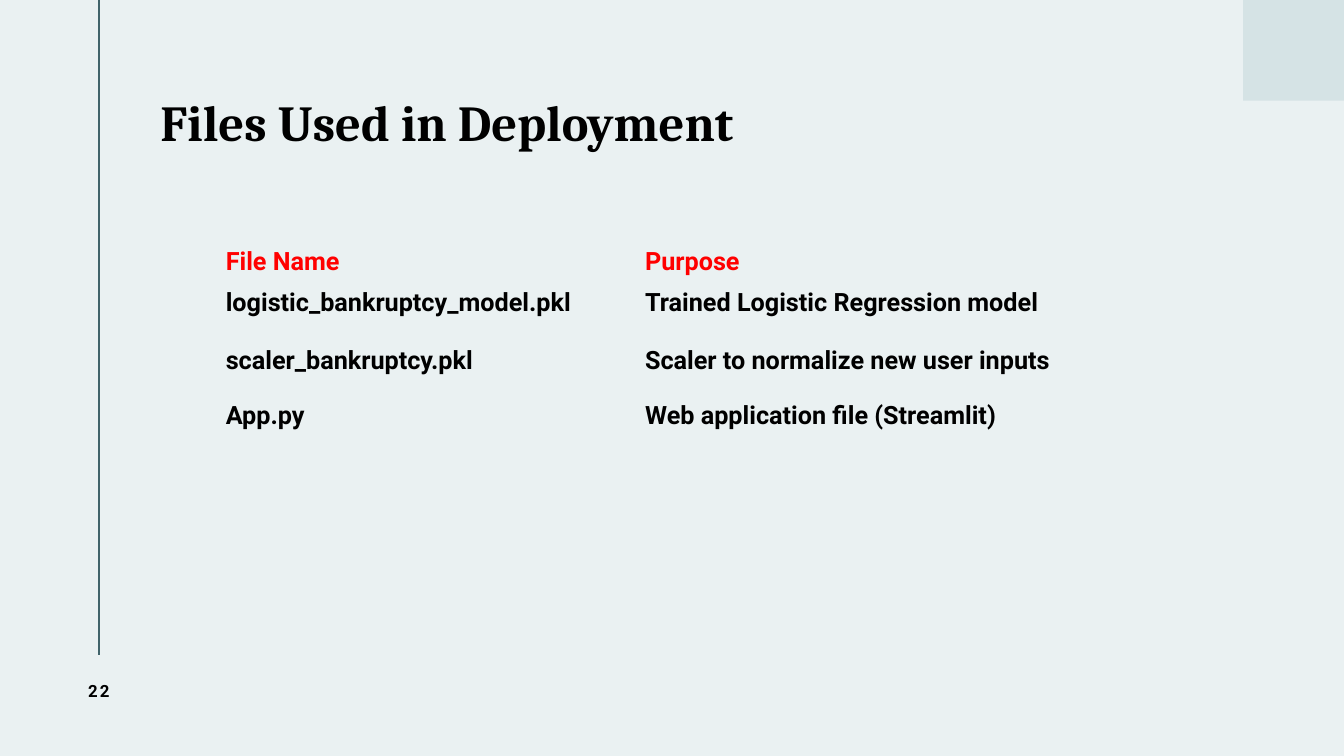
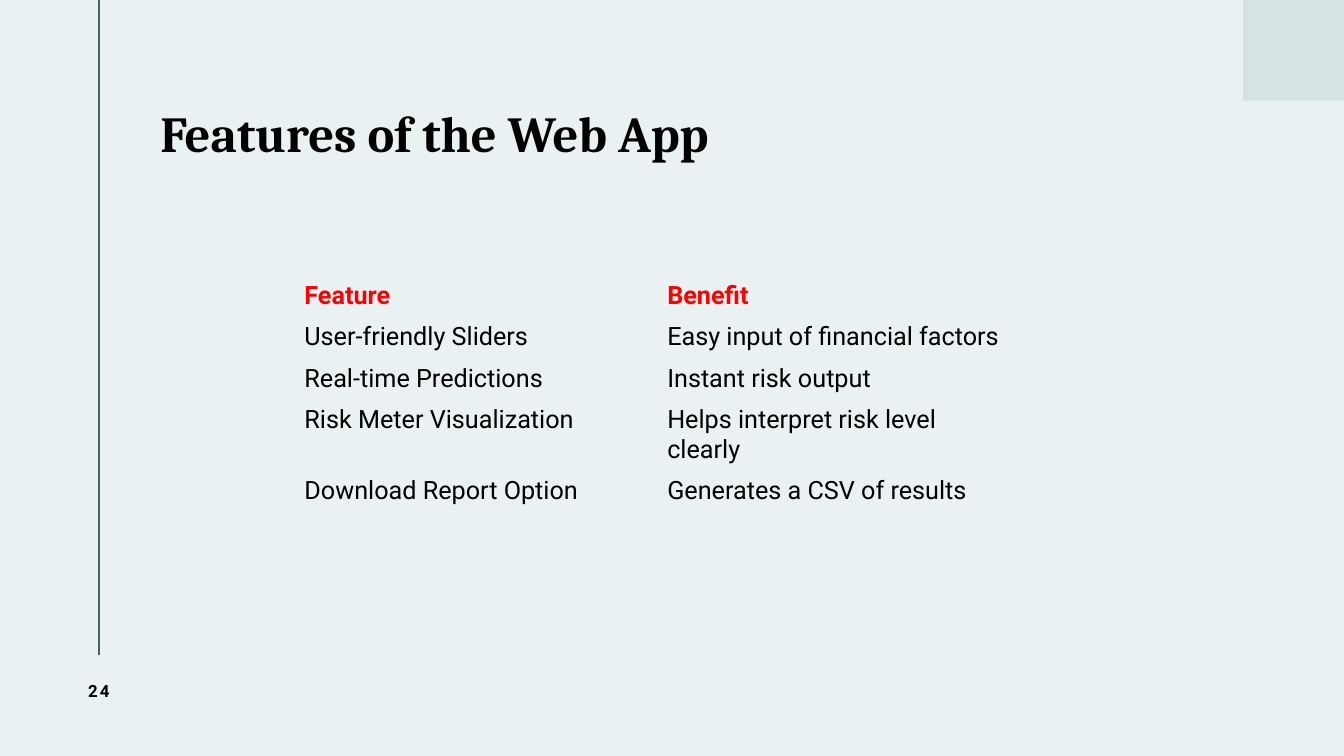
from lxml import etree
from pptx import Presentation
from pptx.dml.color import RGBColor
from pptx.enum.shapes import MSO_CONNECTOR, MSO_SHAPE
from pptx.enum.text import MSO_ANCHOR, PP_ALIGN
from pptx.oxml.ns import qn
from pptx.util import Inches, Pt

STRAIGHT = MSO_CONNECTOR.STRAIGHT
RECTANGLE = MSO_SHAPE.RECTANGLE
MIDDLE = MSO_ANCHOR.MIDDLE
CENTER = PP_ALIGN.CENTER

# Slide size and shared look
WIDTH, HEIGHT = Inches(13.33), Inches(7.5)
BACKGROUND, RULE, CORNER = "EAF1F2", "40636A", "D5E3E5"
BLACK, RED = "000000", "FF0000"
PLAIN_TABLE_STYLE = "{2D5ABB26-0587-4C30-8999-92F81FD0307C}"

TITLE = {"name": "Cambria", "size": Pt(36), "bold": True, "color": BLACK}
HEADING = {"name": "Roboto", "size": Pt(18), "bold": True, "color": RED}
STRONG = {**HEADING, "color": BLACK}
BODY = {**STRONG, "bold": False}
NUMBER = {**STRONG, "size": Pt(12)}

# Shared positions, in percent of the slide's width and height
RULE_X, RULE_END = 7.35, 86.67
TITLE_LEFT, TITLE_TOP, TITLE_WIDTH = 11.93, 10.8, 76.97
ROW = 5.47

SLIDES = [
    {
        "title": "Files Used in Deployment",
        "title_height": 11.6,
        "number": "22",
        "table_at": (16.05, 32),
        "columns": (31.2, 33.68),
        "rows": (ROW, 7.6, 7.33, ROW),
        "style": STRONG,
        "cells": [
            ("File Name", "Purpose"),
            ("logistic_bankruptcy_model.pkl", "Trained Logistic Regression model"),
            ("scaler_bankruptcy.pkl", "Scaler to normalize new user inputs"),
            ("App.py", "Web application file (Streamlit)"),
        ],
    },
    {
        "title": "Features of the Web App",
        "title_height": 14.53,
        "number": "24",
        "table_at": (21.9, 36.53),
        "columns": (27, 27),
        "rows": (ROW,) * 5,
        "style": BODY,
        "cells": [
            ("Feature", "Benefit"),
            ("User-friendly Sliders", "Easy input of financial factors"),
            ("Real-time Predictions", "Instant risk output"),
            ("Risk Meter Visualization", "Helps interpret risk level clearly"),
            ("Download Report Option", "Generates a CSV of results"),
        ],
    },
]


def across(percent):
    return round(WIDTH * percent / 100)


def down(percent):
    return round(HEIGHT * percent / 100)


def box(left, top, width, height):
    return across(left), down(top), across(width), down(height)


def color(hex_string):
    return RGBColor.from_string(hex_string)


def write(text_frame, text, style):
    """Put one formatted run in the first paragraph and return both."""
    paragraph = text_frame.paragraphs[0]
    run = paragraph.add_run()
    run.text = text
    for attribute, value in style.items():
        if attribute == "color":
            run.font.color.rgb = color(value)
        else:
            setattr(run.font, attribute, value)
    return paragraph, run


def add_text(slide, place, text, style):
    text_frame = slide.shapes.add_textbox(*place).text_frame
    text_frame.word_wrap = True
    text_frame.vertical_anchor = MIDDLE
    return text_frame, *write(text_frame, text, style)


def add_decoration(slide):
    # Vertical rule
    rule = slide.shapes.add_connector(
        STRAIGHT, across(RULE_X), 0, across(RULE_X), down(RULE_END))
    rule.line.color.rgb = color(RULE)
    rule.line.width = Pt(1.5)
    etree.SubElement(rule._element.spPr, qn("a:effectLst"))

    # Corner square
    corner = slide.shapes.add_shape(RECTANGLE, *box(92.5, 0, 7.5, 13.33))
    corner.shadow.inherit = False
    corner.fill.solid()
    corner.fill.fore_color.rgb = color(CORNER)
    corner.line.fill.background()


def add_title(slide, text, height):
    place = box(TITLE_LEFT, TITLE_TOP, TITLE_WIDTH, height)
    text_frame, paragraph, _ = add_text(slide, place, text, TITLE)
    text_frame.margin_left = 0
    paragraph.line_spacing = 0.9


def add_number(slide, text):
    place = box(3.38, RULE_END, 7.95, 9.47)
    _, paragraph, run = add_text(slide, place, text, NUMBER)
    paragraph.alignment = CENTER
    run._r.get_or_add_rPr().set("spc", "150")


def add_plain_table(slide, position, columns, rows, cells, style):
    place = box(*position, sum(columns), sum(rows))
    table = slide.shapes.add_table(len(rows), len(columns), *place).table
    table.first_row = table.horz_banding = False
    table._tbl.tblPr.find(qn("a:tableStyleId")).text = PLAIN_TABLE_STYLE
    for column, width in zip(table.columns, columns):
        column.width = across(width)
    for row_index, (row, height) in enumerate(zip(table.rows, rows)):
        row.height = down(height)
        for cell, text in zip(row.cells, cells[row_index]):
            cell.fill.background()
            write(cell.text_frame, text, style if row_index else HEADING)


def main():
    presentation = Presentation()
    presentation.slide_width, presentation.slide_height = WIDTH, HEIGHT
    background = presentation.slide_master.background.fill
    background.solid()
    background.fore_color.rgb = color(BACKGROUND)
    blank = presentation.slide_layouts[6]

    for content in SLIDES:
        slide = presentation.slides.add_slide(blank)
        add_decoration(slide)
        add_title(slide, content["title"], content["title_height"])
        add_plain_table(slide, content["table_at"], content["columns"],
                        content["rows"], content["cells"], content["style"])
        add_number(slide, content["number"])

    presentation.save("out.pptx")


if __name__ == "__main__":
    main()
